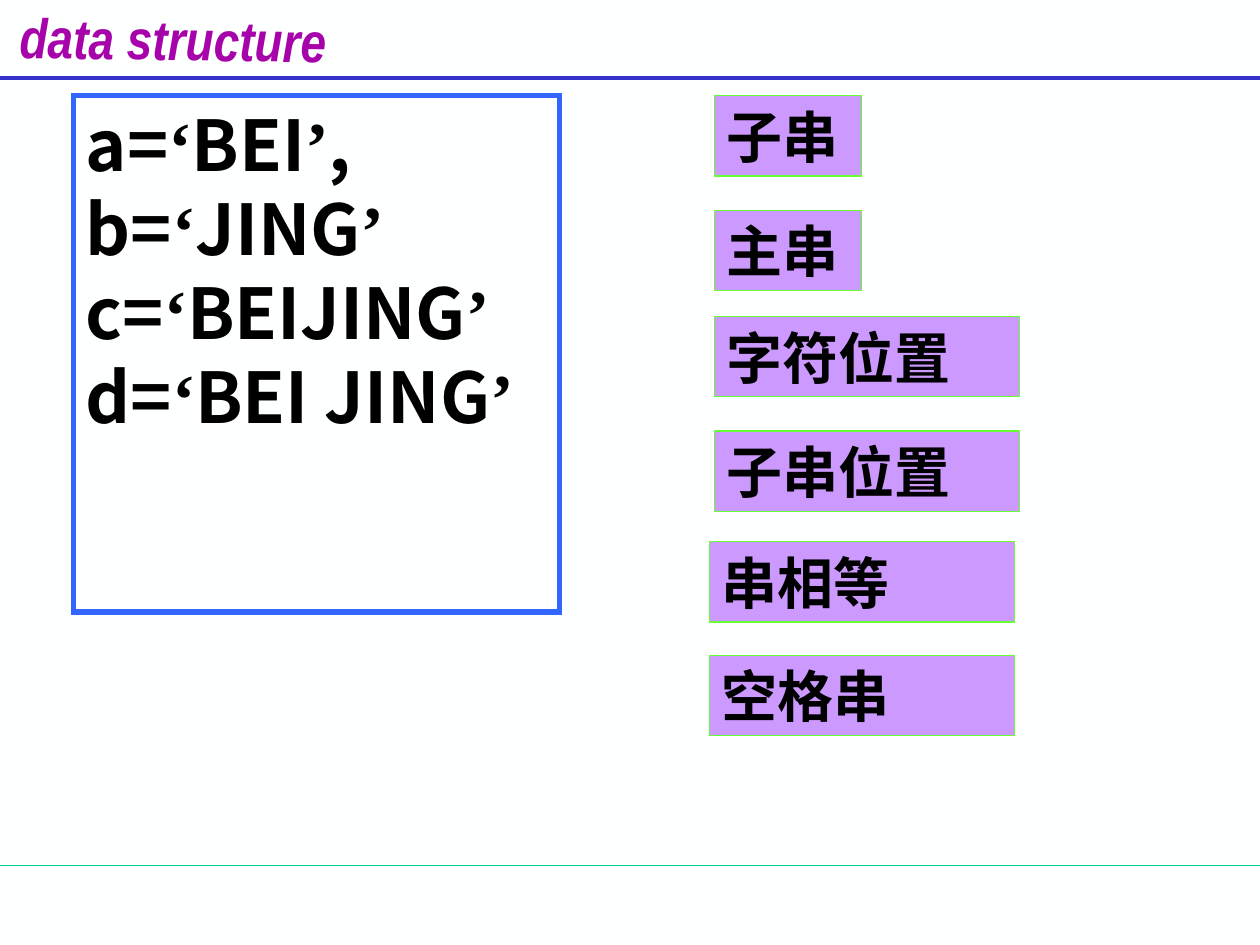
import pptx
import pptx.dml.color
import pptx.enum.shapes
import pptx.enum.text
import pptx.oxml
import pptx.oxml.ns
import pptx.util
from pptx.util import Cm, Pt

COLORS = {
    "background": "FEFFFF", "title": "A603AB", "header rule": "3333CC",
    "footer rule": "00CC99", "frame": "3366FF", "term fill": "CC99FF",
    "term line": "66FF33", "text": "000000",
}
CJK = "Noto Sans CJK SC"
SERIF = "Times New Roman"


def rgb(name):
    return pptx.dml.color.RGBColor.from_string(COLORS[name])


def style_run(run, font_name, size, color):
    """Format a bold run, using one typeface for Latin and East Asian text."""
    run.font.name = font_name
    run.font.size = Pt(size)
    run.font.bold = True
    run.font.color.rgb = rgb(color)
    east_asian = pptx.oxml.parse_xml(
        f'<a:ea {pptx.oxml.ns.nsdecls("a")} typeface="{font_name}"/>')
    run.font._element.find(pptx.oxml.ns.qn("a:latin")).addnext(east_asian)


deck = pptx.Presentation()
deck.slide_width, deck.slide_height = Cm(25.4), Cm(19.05)
slide = deck.slides.add_slide(deck.slide_layouts[6])
slide.background.fill.solid()
slide.background.fill.fore_color.rgb = rgb("background")

for color, y, width in [("footer rule", 17.45, 0.75), ("header rule", 1.57, 2.25)]:
    rule = slide.shapes.add_connector(
        pptx.enum.shapes.MSO_CONNECTOR.STRAIGHT, 0, Cm(y), deck.slide_width, Cm(y))
    rule.line.color.rgb = rgb(color)
    rule.line.width = Pt(width)
    rule._element.spPr.append(
        pptx.oxml.parse_xml(f'<a:effectLst {pptx.oxml.ns.nsdecls("a")}/>'))

# Wide enough for the title to stay on one line
title = slide.shapes.add_textbox(Cm(0.15), Cm(-0.03), Cm(7), Cm(1.37))
title.rotation = 0.8
title.text_frame.word_wrap = True
title.text_frame.text = "data structure"
title_run = title.text_frame.paragraphs[0].runs[0]
style_run(title_run, "Arial Narrow", 32, "title")
title_run.font.italic = True

# String assignments: the quotes are serif, the rest is sans
strings = slide.shapes.add_shape(
    pptx.enum.shapes.MSO_SHAPE.RECTANGLE, Cm(1.48), Cm(1.93), Cm(9.8), Cm(10.41))
strings.shadow.inherit = False
strings.fill.background()
strings.line.color.rgb = rgb("frame")
strings.line.width = Pt(3)
strings.line._get_or_add_ln().append(
    pptx.oxml.parse_xml(f'<a:miter {pptx.oxml.ns.nsdecls("a")} lim="800000"/>'))
strings.text_frame.vertical_anchor = pptx.enum.text.MSO_ANCHOR.TOP
strings.text_frame.margin_top = Cm(0.11)
assignments = [("a=", "BEI", ","), ("b=", "JING", ""),
               ("c=", "BEIJING", ""), ("d=", "BEI JING", "")]
for row, (name, value, ending) in enumerate(assignments):
    assignment = (strings.text_frame.add_paragraph() if row
                  else strings.text_frame.paragraphs[0])
    assignment.alignment = pptx.enum.text.PP_ALIGN.LEFT
    assignment.line_spacing = Pt(48)
    for part in filter(None, (name, "‘", value, "’", ending)):
        run = assignment.add_run()
        run.text = part
        style_run(run, SERIF if part in "‘’" else CJK, 40, "text")

# Terms: text, left, top, width
terms = [
    ("子串", 14.4, 1.93, 2.97), ("主串", 14.4, 4.24, 2.97),
    ("字符位置", 14.4, 6.38, 6.15), ("子串位置", 14.4, 8.69, 6.15),
    ("串相等", 14.3, 10.92, 6.15), ("空格串", 14.3, 13.21, 6.15),
]
for text, left, top, width in terms:
    term = slide.shapes.add_shape(
        pptx.enum.shapes.MSO_SHAPE.RECTANGLE, Cm(left), Cm(top), Cm(width), Cm(1.62))
    term.shadow.inherit = False
    term.fill.solid()
    term.fill.fore_color.rgb = rgb("term fill")
    term.line.color.rgb = rgb("term line")
    term.line.width = Pt(0.75)
    term.text_frame.vertical_anchor = pptx.enum.text.MSO_ANCHOR.MIDDLE
    term.text_frame.text = text
    term.text_frame.paragraphs[0].alignment = pptx.enum.text.PP_ALIGN.LEFT
    style_run(term.text_frame.paragraphs[0].runs[0], CJK, 32, "text")

deck.save("out.pptx")
